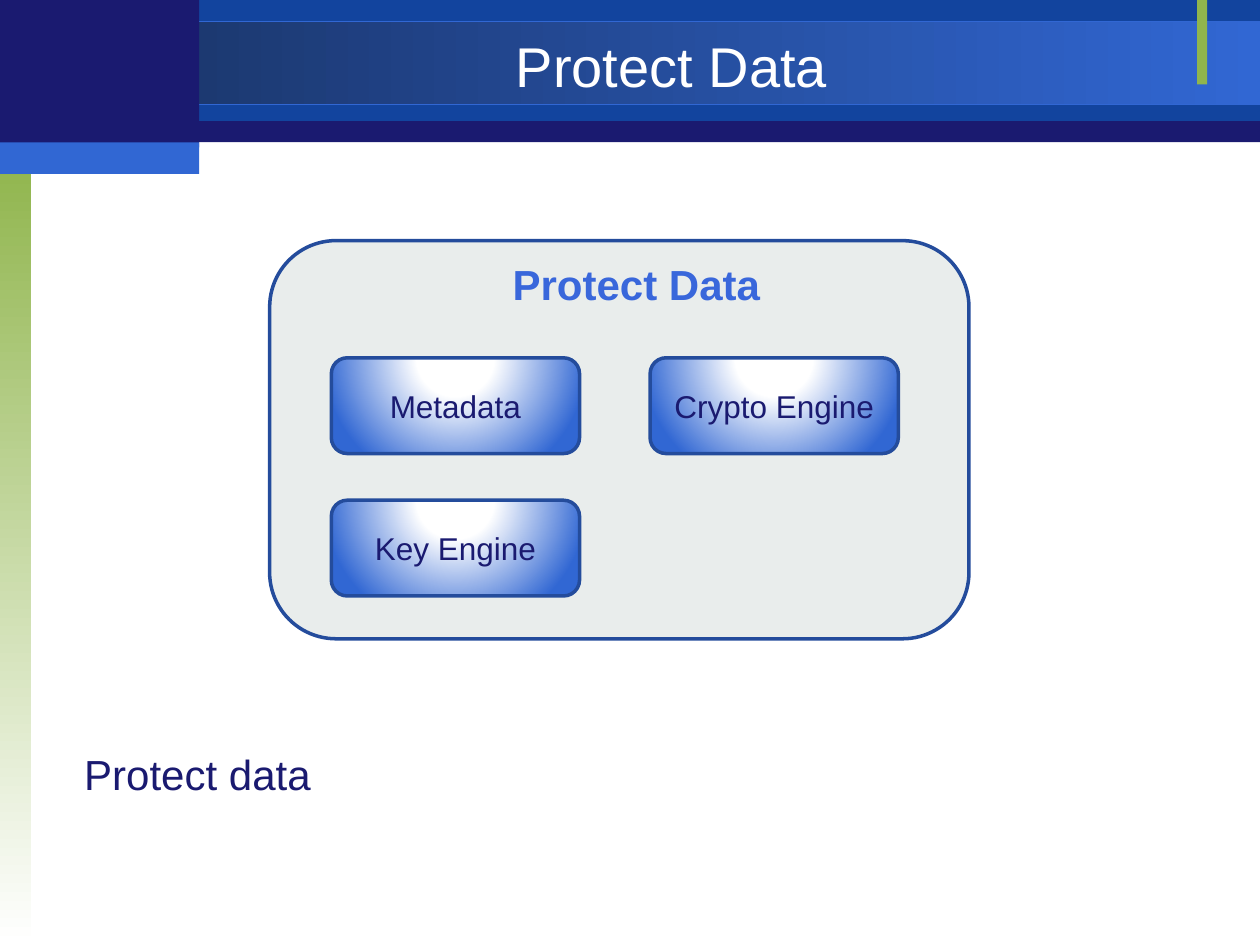
from pptx import Presentation
from pptx.dml.color import RGBColor
from pptx.enum.shapes import MSO_SHAPE
from pptx.enum.text import MSO_ANCHOR, MSO_AUTO_SIZE, PP_ALIGN
from pptx.oxml import parse_xml
from pptx.oxml.ns import nsdecls, qn
from pptx.util import Inches, Pt

RECT, ROUND = MSO_SHAPE.RECTANGLE, MSO_SHAPE.ROUNDED_RECTANGLE
MIDDLE = MSO_ANCHOR.MIDDLE
LEFT, CENTER = PP_ALIGN.LEFT, PP_ALIGN.CENTER
GROW, NO_GROW = MSO_AUTO_SIZE.SHAPE_TO_FIT_TEXT, MSO_AUTO_SIZE.NONE

NAVY, ROYAL, BLUE, EDGE = "1A1A70", "12449E", "3167D3", "244C9C"
GREEN, WHITE, PANEL, HEADING = "90B54D", "FFFFFF", "E9EDEC", "3967DB"
GLOW = ('<a:path path="circle"><a:fillToRect l="50000" t="-80000" '
        'r="50000" b="180000"/></a:path>')


def rgb(hex_color):
    return RGBColor.from_string(hex_color)


def linear(degrees):
    return f'<a:lin ang="{degrees * 60000}" scaled="0"/>'


class Deck:
    """Style and current slide; positions are percentages of the slide size."""
    font = "Arial"

    def __init__(self, width, height):
        self.prs = Presentation()
        self.prs.slide_width, self.prs.slide_height = Inches(width), Inches(height)
        self.s = self.prs.slides.add_slide(self.prs.slide_layouts[5])

    def box(self, x, y, w, h):
        sw, sh = self.prs.slide_width, self.prs.slide_height
        return [int(share * side / 100)
                for share, side in ((x, sw), (y, sh), (w, sw), (h, sh))]

    def add_text(self, sp, text, size, color, align=CENTER, bold=False):
        p = sp.text_frame.paragraphs[0]
        p.alignment = align
        r = p.add_run()
        r.text = text
        r.font.name, r.font.size, r.font.bold = self.font, Pt(size), bold
        r.font.color.rgb = rgb(color)

    def shape(self, kind, at, fill=None, line=None, weight=2):
        sp = self.s.shapes.add_shape(kind, *self.box(*at))
        sp.shadow.inherit = False
        if fill:
            sp.fill.solid()
            sp.fill.fore_color.rgb = rgb(fill)
        if line:
            sp.line.color.rgb = rgb(line)
            sp.line.width = Pt(weight)
        else:
            sp.line.fill.background()
        return sp

    def gradient(self, sp, stops, direction):
        sp.fill.background()
        gs = "".join(f'<a:gs pos="{pos * 1000}"><a:srgbClr val="{color}"/></a:gs>'
                     for pos, color in stops)
        grad = parse_xml(f'<a:gradFill {nsdecls("a")} rotWithShape="1">'
                         f'<a:gsLst>{gs}</a:gsLst>{direction}</a:gradFill>')
        props = sp.element.spPr
        props.replace(props.find(qn("a:noFill")), grad)

    def module(self, at, text):
        sp = self.shape(ROUND, at, line=EDGE)
        self.gradient(sp, [(0, WHITE), (29, WHITE), (100, BLUE)], GLOW)
        sp.text_frame.vertical_anchor = MIDDLE
        sp.text_frame.word_wrap = True
        self.add_text(sp, text, 18, NAVY)

    def label(self, at, text, color, bold=False):
        sp = self.s.shapes.add_textbox(*self.box(*at))
        sp.text_frame.word_wrap = False
        sp.text_frame.auto_size = GROW
        self.add_text(sp, text, 24, color, LEFT, bold)

    def title(self, at, text):
        sp = self.s.shapes.title
        sp.left, sp.top, sp.width, sp.height = self.box(*at)
        tf = sp.text_frame
        tf.vertical_anchor, tf.auto_size, tf.word_wrap = MIDDLE, NO_GROW, True
        self.add_text(sp, text, 32, WHITE)
        # Bring the title in front of the header bands
        sp.element.getparent().append(sp.element)


def main():
    deck = Deck(10, 7.5)

    # Header bands
    deck.shape(RECT, (0, 0.13, 100, 14.93), NAVY)
    deck.shape(RECT, (15.8, 0, 84.2, 12.8), ROYAL)
    band = deck.shape(RECT, (0, 2.27, 100, 8.8), line=BLUE, weight=0.75)
    deck.gradient(band, [(0, "18305F"), (100, BLUE)], linear(0))

    # Side stripe, green tick and corner block
    stripe = deck.shape(RECT, (0, 16.67, 2.5, 83.33))
    deck.gradient(stripe, [(0, GREEN), (100, WHITE)], linear(90))
    deck.shape(RECT, (95, 0, 0.8, 8.93), GREEN)
    deck.shape(RECT, (0, 0, 15.8, 15.6), NAVY)
    deck.shape(RECT, (0, 15.07, 15.8, 3.33), BLUE)

    # Panel with its modules on a two-column grid
    deck.shape(ROUND, (21.4, 25.47, 55.5, 42.13), PANEL, EDGE)
    modules = {"Metadata": (0, 0), "Crypto Engine": (1, 0), "Key Engine": (0, 1)}
    for name, (col, row) in modules.items():
        deck.module((26.3 + 25.3 * col, 37.87 + 15.07 * row, 19.7, 10.13), name)
    deck.label((39.7, 26.67, 21.9, 6.67), "Protect Data", HEADING, bold=True)

    # Caption and title
    deck.label((5.7, 78.53, 20.2, 6.67), "Protect data", NAVY)
    deck.title((15.8, 3.07, 75, 7.73), "Protect Data")

    deck.prs.save("out.pptx")


if __name__ == "__main__":
    main()
